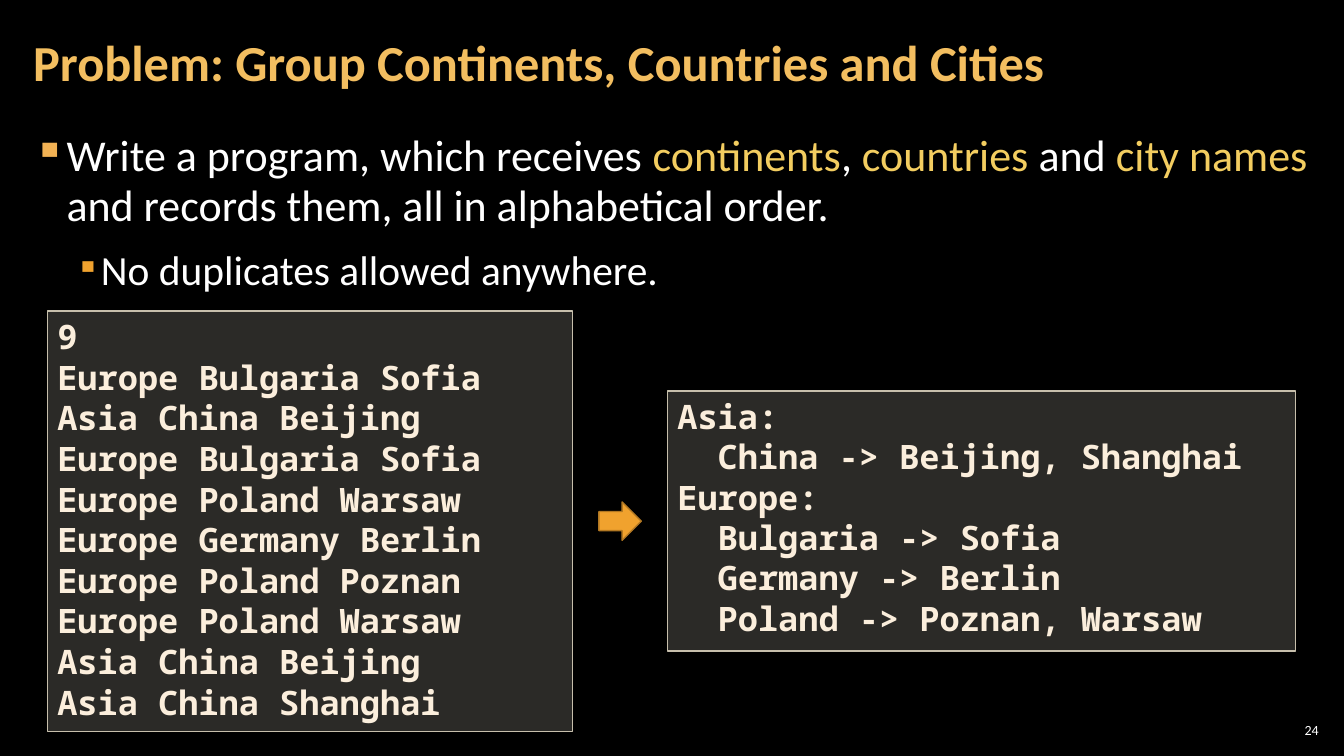
"""Builds the slide about grouping continents, countries and cities."""
import pptx
import pptx.util
import pptx.dml.color
import pptx.enum.shapes
import pptx.enum.text
import pptx.oxml.ns
import lxml.etree

Pt, Inches = pptx.util.Pt, pptx.util.Inches
ALIGN, ANCHOR = pptx.enum.text.PP_ALIGN, pptx.enum.text.MSO_ANCHOR
SHAPE = pptx.enum.shapes.MSO_SHAPE

COLORS = {
    "back": "000000", "title": "F3BE60", "text": "FFFFFF", "key": "F3CD60",
    "bullet": "F2B254", "sub_bullet": "F0A22E", "panel": "D9D5C7",
    "panel_line": "C7BFAC", "code": "FBEEDC", "arrow": "F0A22E",
    "arrow_line": "B27822",
}
TEXT_FONT, CODE_FONT = "Calibri", "Noto Sans Mono"
TITLE = "Problem: Group Continents, Countries and Cities"
PAGE = "24"
TASK = [
    {"level": 0, "size": 31.4, "left": 0.33, "hang": 0.33,
     "bullet": "bullet", "bullet_size": 100,
     "runs": [("Write a program, which receives ", "text"), ("continents", "key"),
              (", ", "text"), ("countries", "key"), (" and ", "text"),
              ("city names", "key"),
              (" and records them, all in alphabetical order.", "text")]},
    {"level": 1, "size": 29.6, "left": 0.67, "hang": 0.25,
     "bullet": "sub_bullet", "bullet_size": 80,
     "runs": [("No duplicates allowed anywhere.", "text")]},
]
INPUT = [(0, line) for line in (
    "9", "Europe Bulgaria Sofia", "Asia China Beijing", "Europe Bulgaria Sofia",
    "Europe Poland Warsaw", "Europe Germany Berlin", "Europe Poland Poznan",
    "Europe Poland Warsaw", "Asia China Beijing", "Asia China Shanghai")]
OUTPUT = [(0, "Asia:"), (1, "China -> Beijing, Shanghai"), (0, "Europe:"),
          (1, "Bulgaria -> Sofia"), (1, "Germany -> Berlin"),
          (1, "Poland -> Poznan, Warsaw")]

WIDTH, HEIGHT = 13.33, 7.5
MARGIN = 0.21
BODY_WIDTH = WIDTH - 2 * MARGIN
MIDDLE = 5.17
INPUT_LEFT, INPUT_WIDTH, INPUT_HEIGHT = 0.47, 5.21, 4.17
ARROW_LEFT, ARROW_WIDTH, ARROW_HEIGHT = 5.94, 0.42, 0.38
OUTPUT_LEFT, OUTPUT_WIDTH, OUTPUT_HEIGHT = 6.62, 6.23, 2.58
CODE_SIZE = 24
CODE_INDENT = 2 * 0.6 * CODE_SIZE


def rgb(name):
    return pptx.dml.color.RGBColor.from_string(COLORS[name])


def add_xml(parent, tag, **attributes):
    return lxml.etree.SubElement(parent, pptx.oxml.ns.qn(tag), attributes)


def style(paragraph, font, size, color=None, bold=False):
    paragraph.font.name, paragraph.font.size = font, Pt(size)
    paragraph.font.bold = bold
    if color:
        paragraph.font.color.rgb = rgb(color)


def paragraphs(frame, items):
    for number, item in enumerate(items):
        yield frame.add_paragraph() if number else frame.paragraphs[0], item


def add_text(slide, left, top, width, height, side, anchor):
    frame = slide.shapes.add_textbox(*map(Inches, (left, top, width, height))).text_frame
    frame.word_wrap = True
    frame.vertical_anchor = anchor
    frame.margin_left = frame.margin_right = Inches(side)
    frame.margin_top = frame.margin_bottom = Inches(0.04)
    return frame


def add_task(slide):
    frame = add_text(slide, MARGIN, 1.26, BODY_WIDTH, 1.74, 0.12, ANCHOR.TOP)
    for paragraph, item in paragraphs(frame, TASK):
        paragraph.level = item["level"]
        paragraph.line_spacing = 0.95
        paragraph.space_before = paragraph.space_after = Pt(6)
        props = paragraph._p.get_or_add_pPr()
        props.set("marL", str(Inches(item["left"])))
        props.set("indent", str(-Inches(item["hang"])))
        add_xml(add_xml(props, "a:buClr"), "a:srgbClr", val=COLORS[item["bullet"]])
        add_xml(props, "a:buSzPct", val=str(item["bullet_size"] * 1000))
        add_xml(props, "a:buChar", char="▪")
        style(paragraph, TEXT_FONT, item["size"])
        for text, color in item["runs"]:
            run = paragraph.add_run()
            run.text = text
            run.font.color.rgb = rgb(color)


def add_centred(slide, kind, left, width, height, fill, line):
    shape = slide.shapes.add_shape(
        kind, *map(Inches, (left, MIDDLE - height / 2, width, height)))
    shape.shadow.inherit = False
    shape.fill.solid()
    shape.fill.fore_color.rgb = rgb(fill)
    shape.line.color.rgb = rgb(line)
    shape.line.width = Pt(1)
    return shape


def add_code(slide, left, width, height, lines, pitch):
    panel = add_centred(slide, SHAPE.RECTANGLE, left, width, height,
                        "panel", "panel_line")
    tint = panel._element.spPr.find(pptx.oxml.ns.qn("a:solidFill"))[0]
    add_xml(tint, "a:alpha", val="20000")
    frame = panel.text_frame
    frame.word_wrap = True
    frame.vertical_anchor = ANCHOR.TOP
    for paragraph, (depth, text) in paragraphs(frame, lines):
        paragraph.text = text
        paragraph.alignment = ALIGN.LEFT
        paragraph.line_spacing = Pt(pitch)
        paragraph._p.get_or_add_pPr().set("marL", str(Pt(depth * CODE_INDENT)))
        style(paragraph, CODE_FONT, CODE_SIZE, "code", True)


def main():
    deck = pptx.Presentation()
    deck.slide_width, deck.slide_height = Inches(WIDTH), Inches(HEIGHT)
    slide = deck.slides.add_slide(deck.slide_layouts[6])
    slide.background.fill.solid()
    slide.background.fill.fore_color.rgb = rgb("back")

    page = add_text(slide, 12.65, 7.14, 0.47, 0.21, 0.04, ANCHOR.MIDDLE).paragraphs[0]
    page.text = PAGE
    page.alignment = ALIGN.RIGHT
    style(page, TEXT_FONT, 10, "text")

    add_task(slide)

    title = add_text(slide, MARGIN, 0.04, 10.47, 1.21, 0.12, ANCHOR.MIDDLE).paragraphs[0]
    title.text = TITLE
    title.line_spacing = 0.9
    style(title, TEXT_FONT, 36, "title", True)

    add_code(slide, INPUT_LEFT, INPUT_WIDTH, INPUT_HEIGHT, INPUT, 29)
    add_centred(slide, SHAPE.RIGHT_ARROW, ARROW_LEFT, ARROW_WIDTH, ARROW_HEIGHT,
                "arrow", "arrow_line")
    add_code(slide, OUTPUT_LEFT, OUTPUT_WIDTH, OUTPUT_HEIGHT, OUTPUT, 28.8)
    deck.save("out.pptx")


if __name__ == "__main__":
    main()
